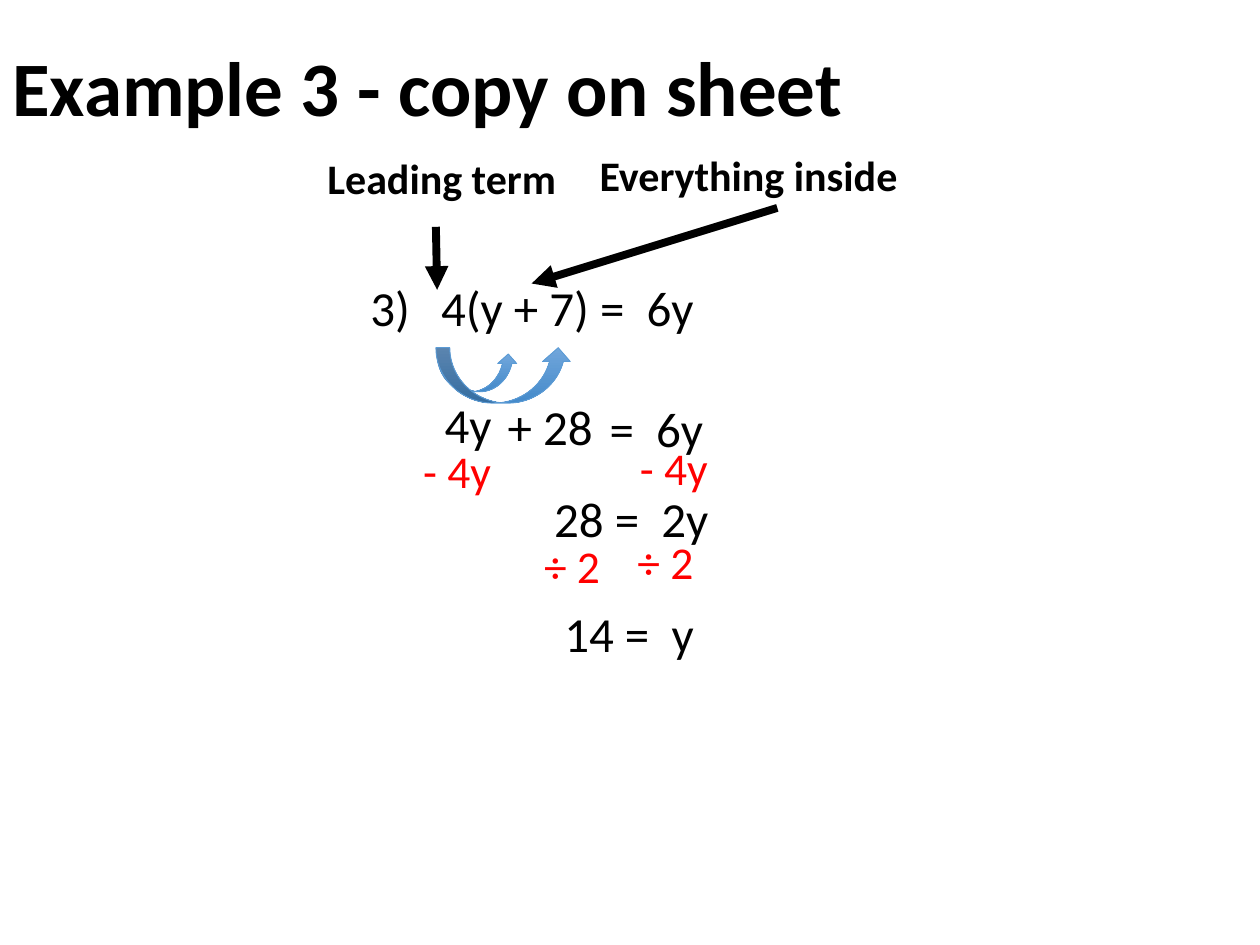
from dataclasses import dataclass

import pptx
import pptx.dml.color
import pptx.enum.dml
import pptx.enum.shapes
import pptx.enum.text
import pptx.oxml
import pptx.oxml.ns
import pptx.util

Pt = pptx.util.Pt
FONT = "Calibri"
COLORS = {
    "ink": "000000",
    "step": "FF0000",
    "light": "71A6DB",
    "deep": "448ACA",
    "edge": "5B9BD5",
}


@dataclass
class Label:
    text: str
    left: float
    top: float
    width: float
    height: float
    size: float = 28
    color: str = "ink"
    bold: bool = False
    wrap: bool = False


@dataclass
class Arrow:
    start: tuple[float, float]
    end: tuple[float, float]


@dataclass
class Curve:
    left: float
    top: float
    width: float
    height: float


def rgb(name: str) -> pptx.dml.color.RGBColor:
    return pptx.dml.color.RGBColor.from_string(COLORS[name])


def add_label(slide, label: Label):
    box = slide.shapes.add_textbox(
        Pt(label.left), Pt(label.top), Pt(label.width), Pt(label.height))
    frame = box.text_frame
    frame.word_wrap = label.wrap
    run = frame.paragraphs[0].add_run()
    run.text = label.text
    run.font.name = FONT
    run.font.size = Pt(label.size)
    run.font.bold = label.bold
    run.font.color.rgb = rgb(label.color)
    return frame


def number_line(para, start: int, indent: float) -> None:
    """Give a paragraph an automatic number such as 3) and a hanging indent."""
    props = para._p.get_or_add_pPr()
    props.set("marL", str(Pt(indent)))
    props.set("indent", str(-Pt(indent)))
    font = pptx.oxml.parse_xml(
        f'<a:buFont {pptx.oxml.ns.nsdecls("a")} typeface="+mj-lt"/>')
    mark = pptx.oxml.parse_xml(
        f'<a:buAutoNum {pptx.oxml.ns.nsdecls("a")} '
        f'type="arabicParenR" startAt="{start}"/>')
    props.extend([font, mark])


def add_arrow(slide, arrow: Arrow) -> None:
    line = slide.shapes.add_connector(
        pptx.enum.shapes.MSO_CONNECTOR.STRAIGHT,
        *(Pt(value) for value in arrow.start + arrow.end))
    line.line.width = Pt(4.5)
    line.line.color.rgb = rgb("ink")
    names = pptx.oxml.ns.nsdecls("a")
    line.line._get_or_add_ln().append(
        pptx.oxml.parse_xml(f'<a:tailEnd {names} type="triangle"/>'))
    line._element.spPr.append(pptx.oxml.parse_xml(f"<a:effectLst {names}/>"))


def add_curve(slide, curve: Curve) -> None:
    shape = slide.shapes.add_shape(
        pptx.enum.shapes.MSO_SHAPE.CURVED_UP_ARROW,
        Pt(curve.left), Pt(curve.top), Pt(curve.width), Pt(curve.height))
    shape.shadow.inherit = False
    shape.fill.gradient()
    shape.fill.gradient_angle = 270
    for stop, name in zip(shape.fill.gradient_stops, ("light", "deep")):
        stop.color.rgb = rgb(name)
    shape.line.color.rgb = rgb("edge")
    shape.line.width = Pt(0.5)


TITLE = Label("Example 3 - copy on sheet", 0, 0, 620.6, 104.4, 44,
              bold=True, wrap=True)
PROBLEM = Label("4(y + 7) =  6y", 204.5, 159.1, 500, 45, wrap=True)
LABELS = [
    Label("- 4y", 234.7, 249.8, 54, 38.9, 26, "step"),
    Label("- 4y", 358.6, 247.7, 54, 38.9, 26, "step"),
    Label("÷ 2", 303.8, 303.8, 46.8, 38.9, 26, "step"),
    Label("÷ 2", 357.1, 301.7, 46.8, 38.9, 26, "step"),
    Label("4y", 247, 221.8, 41.8, 41),
    Label("+ 28", 283, 223.2, 63.4, 41),
    Label("=  6y", 341.3, 223.9, 69.1, 41),
    Label("28 =  2y", 309.6, 275.8, 104.4, 41),
    Label("14 =  y", 315.4, 341.3, 89.3, 41),
    Label("Leading term", 180, 83.5, 217.4, 36, 24, bold=True, wrap=True),
    Label("Everything inside", 335.5, 82.1, 217.4, 36, 24,
          bold=True, wrap=True),
]
CURVES = [Curve(249.8, 202.3, 46.1, 21.6), Curve(249.1, 198.7, 77.8, 31.7)]
ARROWS = [
    Arrow((249.1, 129.6), (249.8, 165.6)),
    Arrow((444.2, 118.8), (303.8, 162)),
]


def main() -> None:
    deck = pptx.Presentation()
    deck.slide_width, deck.slide_height = Pt(720), Pt(540)
    slide = deck.slides.add_slide(deck.slide_layouts[6])

    title = add_label(slide, TITLE)
    title.vertical_anchor = pptx.enum.text.MSO_ANCHOR.MIDDLE
    title.paragraphs[0].line_spacing = 0.9

    para = add_label(slide, PROBLEM).paragraphs[0]
    number_line(para, start=3, indent=40.5)
    para.line_spacing = 0.9

    for curve in CURVES:
        add_curve(slide, curve)
    for label in LABELS:
        add_label(slide, label)
    for arrow in ARROWS:
        add_arrow(slide, arrow)
    deck.save("out.pptx")


if __name__ == "__main__":
    main()
